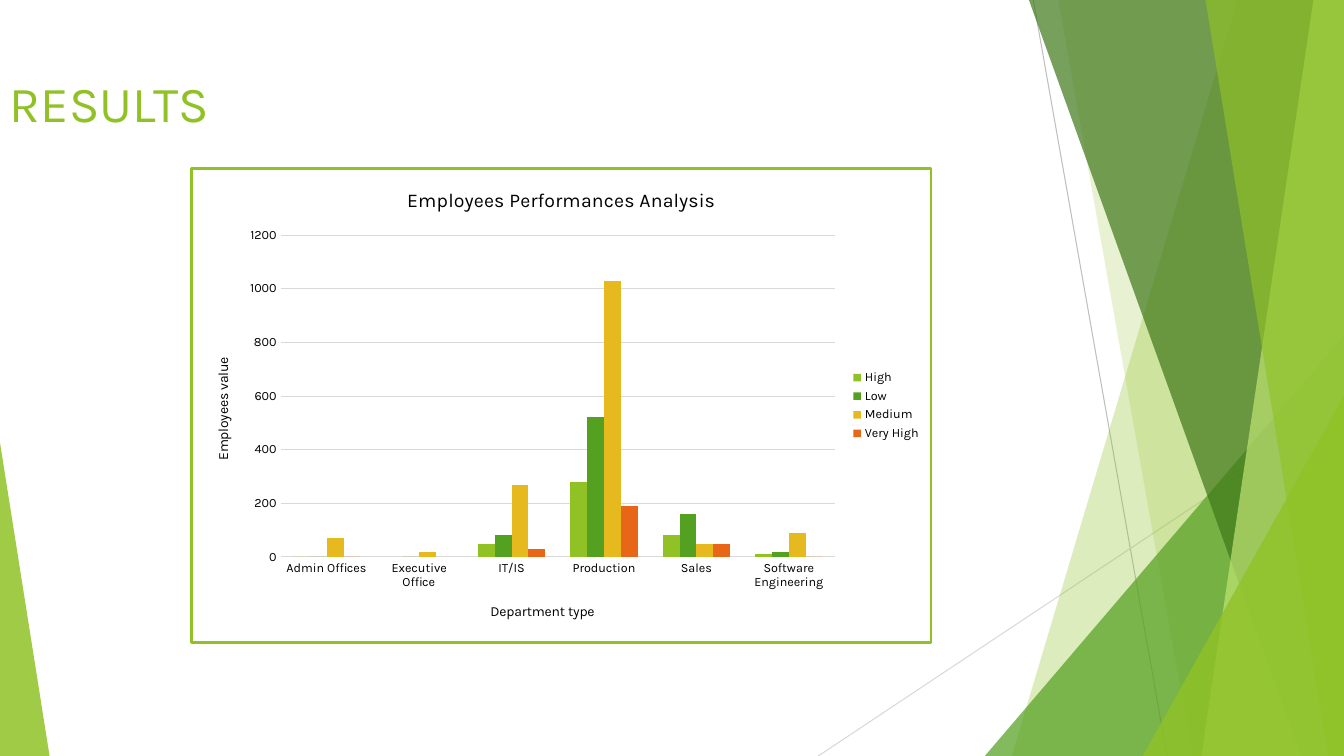
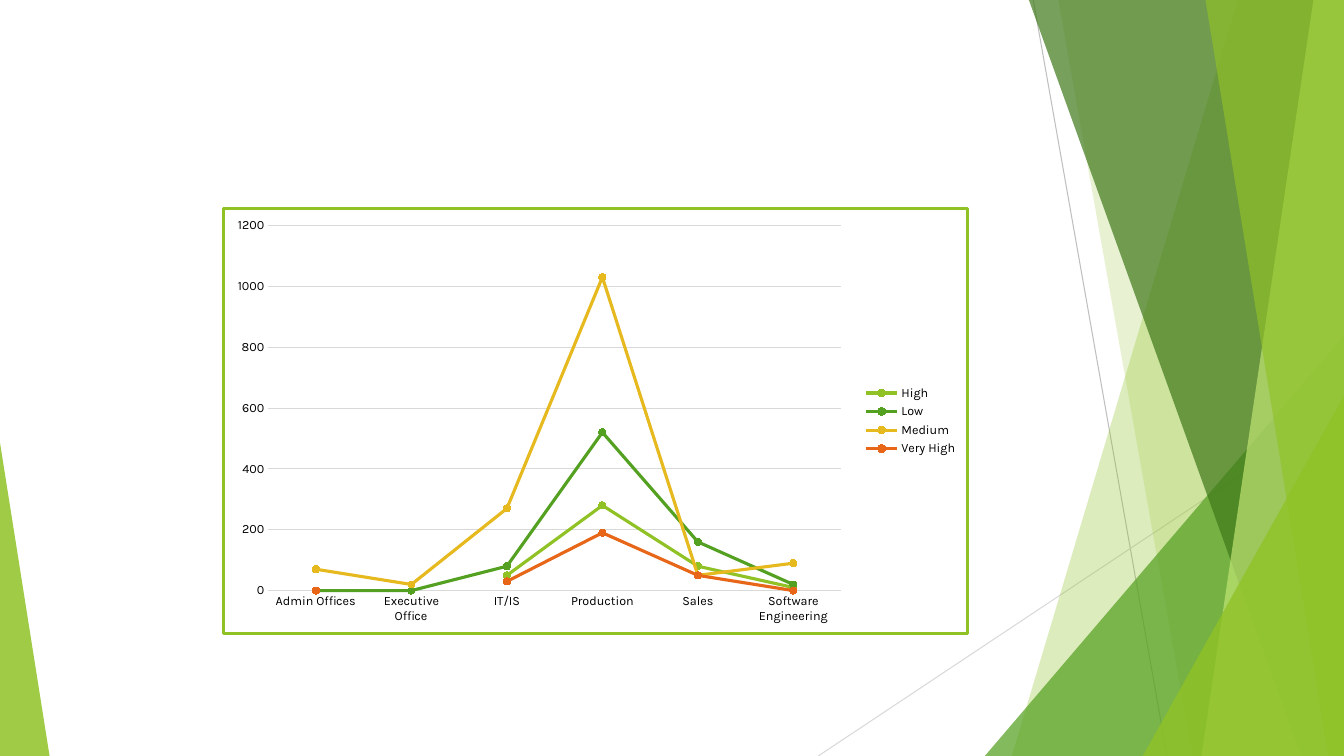
from lxml.etree import SubElement
from pptx import Presentation
from pptx.chart.data import CategoryChartData as ChartData
from pptx.dml.color import RGBColor
from pptx.enum.chart import XL_CHART_TYPE as ChartType
from pptx.enum.chart import XL_LEGEND_POSITION as LegendPosition
from pptx.enum.chart import XL_MARKER_STYLE as MarkerStyle
from pptx.enum.chart import XL_TICK_MARK as TickMark
from pptx.enum.shapes import MSO_CONNECTOR as Connector
from pptx.enum.shapes import MSO_SHAPE as Shape
from pptx.oxml import parse_xml
from pptx.oxml.ns import nsdecls, qn
from pptx.util import Cm, Pt

LIME = RGBColor(0x90, 0xC2, 0x26)
GREEN = RGBColor(0x54, 0xA0, 0x21)
FOREST = RGBColor(0x3F, 0x78, 0x19)
PALE = RGBColor(0xC0, 0xE4, 0x74)
GOLD = RGBColor(0xE6, 0xB9, 0x1E)
ORANGE = RGBColor(0xE7, 0x66, 0x18)
BLACK = RGBColor(0, 0, 0)
GRAY = RGBColor(0xBF, 0xBF, 0xBF)
LIGHT_GRAY = RGBColor(0xD9, 0xD9, 0xD9)

WIDTH, HEIGHT = 33.87, 19.05

DEPARTMENTS = ["Admin Offices", "Executive Office", "IT/IS", "Production",
               "Sales", "Software Engineering"]
PERFORMANCE = [
    ("High", LIME, [0, None, 50, 280, 80, 10]),
    ("Low", GREEN, [0, 0, 80, 520, 160, 20]),
    ("Medium", GOLD, [70, 20, 270, 1030, 50, 90]),
    ("Very High", ORANGE, [0, None, 30, 190, 50, 0]),
]


def assign(target, values):
    for name, value in values.items():
        setattr(target, name, value)


class Deck:
    font_name = "Karla"

    def __init__(self):
        self.presentation = Presentation()
        assign(self.presentation,
               {"slide_width": Cm(WIDTH), "slide_height": Cm(HEIGHT)})
        self.slide = None

    def add_slide(self):
        layout = self.presentation.slide_layouts[6]
        self.slide = self.presentation.slides.add_slide(layout)
        self.line((26.04, 0), (29.41, HEIGHT), GRAY)
        self.line((WIDTH, 10.24), (20.62, HEIGHT), LIGHT_GRAY)
        self.band(31.19, 25.5, LIME, 30)
        self.band(26.67, 30.05, LIME, 20)
        self.corner(24.82, 8.46, WIDTH - 24.82, 1, GREEN, 72)
        self.band(25.93, 32.79, FOREST, 70)
        self.band(33.1, 30.28, PALE, 70)
        self.band(30.38, 33.48, LIME, 65)
        self.corner(28.8, 9.98, WIDTH - 28.8, 1, LIME, 80)
        self.corner(0, 11.15, 1.25, 0, LIME, 85)

    def style_font(self, font, size, color=BLACK):
        assign(font, {"name": self.font_name, "size": Pt(size), "bold": False})
        font.color.rgb = color

    def paint(self, shape, color, opacity):
        shape.shadow.inherit = False
        shape.fill.solid()
        shape.fill.fore_color.rgb = color
        color_node = shape.element.spPr.find(".//" + qn("a:srgbClr"))
        SubElement(color_node, qn("a:alpha"), val=str(opacity * 1000))
        shape.line.fill.background()

    def line(self, start, end, color):
        connector = self.slide.shapes.add_connector(
            Connector.STRAIGHT, *map(Cm, start + end))
        connector.line.width = Pt(0.75)
        connector.line.color.rgb = color
        SubElement(connector.element.spPr, qn("a:effectLst"))

    def band(self, top_x, bottom_x, color, opacity):
        builder = self.slide.shapes.build_freeform(Cm(top_x), 0)
        corners = [(WIDTH, 0), (WIDTH, HEIGHT), (bottom_x, HEIGHT)]
        builder.add_line_segments([(Cm(x), Cm(y)) for x, y in corners])
        self.paint(builder.convert_to_shape(), color, opacity)

    def corner(self, left, top, width, apex, color, opacity):
        shape = self.slide.shapes.add_shape(
            Shape.ISOSCELES_TRIANGLE, Cm(left), Cm(top), Cm(width), Cm(HEIGHT - top))
        shape.adjustments[0] = apex
        self.paint(shape, color, opacity)

    def title(self, text):
        box = self.slide.shapes.add_textbox(0, Cm(1.7), Cm(23.88), Cm(3.66))
        box.text_frame.word_wrap = True
        paragraph = box.text_frame.paragraphs[0]
        run = paragraph.add_run()
        run.text = text
        self.style_font(run.font, 36, LIME)

    def chart(self, kind, place, plot_area):
        data = ChartData()
        data.categories = DEPARTMENTS
        for name, _, values in PERFORMANCE:
            data.add_series(name, values)
        chart = self.slide.shapes.add_chart(kind, *map(Cm, place), data).chart
        assign(chart, {"has_title": False, "has_legend": True})
        self.style_font(chart.font, 10)
        assign(chart.legend, {"position": LegendPosition.RIGHT,
                              "include_in_layout": False})
        self.style_font(chart.legend.font, 9)
        chart.plots[0].vary_by_categories = False
        for axis in (chart.category_axis, chart.value_axis):
            assign(axis, {"major_tick_mark": TickMark.NONE,
                          "minor_tick_mark": TickMark.NONE})
            self.style_font(axis.tick_labels.font, 9)
            axis.format.line.fill.background()
        assign(chart.value_axis, {"minimum_scale": 0, "maximum_scale": 1200,
                                  "major_unit": 200, "has_major_gridlines": True})
        self.rule(chart.value_axis.major_gridlines.format.line)
        self.frame(chart)
        self.place_plot(chart, plot_area)
        return chart

    def rule(self, line):
        line.width = Pt(0.75)
        line.color.rgb = LIGHT_GRAY

    def frame(self, chart):
        chart.element.find(qn("c:chart")).addnext(parse_xml(
            f'<c:spPr {nsdecls("c", "a")}>'
            '<a:solidFill><a:srgbClr val="FFFFFF"/></a:solidFill>'
            f'<a:ln w="{Pt(2)}"><a:solidFill><a:srgbClr val="{LIME}"/></a:solidFill>'
            '</a:ln></c:spPr>'))

    def place_plot(self, chart, plot_area):
        area = chart.element.find(".//" + qn("c:plotArea"))
        for layout in area.findall(qn("c:layout")):
            area.remove(layout)
        sizes = "".join(f'<c:{name} val="{value}"/>'
                        for name, value in zip("xywh", plot_area))
        area.insert(0, parse_xml(
            f'<c:layout {nsdecls("c")}><c:manualLayout><c:layoutTarget val="inner"/>'
            '<c:xMode val="edge"/><c:yMode val="edge"/>'
            f'{sizes}</c:manualLayout></c:layout>'))

    def chart_text(self, title, text, size):
        paragraph = title.text_frame.paragraphs[0]
        run = paragraph.add_run()
        run.text = text
        self.style_font(run.font, size)

    def column_chart(self, place, plot_area, title, category_title, value_title):
        chart = self.chart(ChartType.COLUMN_CLUSTERED, place, plot_area)
        assign(chart.plots[0], {"gap_width": 150, "overlap": 0})
        for series, (_, color, _) in zip(chart.plots[0].series, PERFORMANCE):
            series.format.fill.solid()
            series.format.fill.fore_color.rgb = color
        self.chart_text(chart.chart_title, title, 14)
        chart.chart_title.include_in_layout = False
        self.chart_text(chart.category_axis.axis_title, category_title, 10)
        self.chart_text(chart.value_axis.axis_title, value_title, 10)
        body = chart.value_axis.axis_title.element.find(".//" + qn("a:bodyPr"))
        body.set("rot", "-5400000")
        body.set("vert", "horz")

    def line_chart(self, place, plot_area):
        chart = self.chart(ChartType.LINE_MARKERS, place, plot_area)
        self.rule(chart.category_axis.format.line)
        for series, (_, color, _) in zip(chart.plots[0].series, PERFORMANCE):
            series.smooth = False
            series.format.line.width = Pt(2.25)
            series.format.line.color.rgb = color
            assign(series.marker, {"style": MarkerStyle.CIRCLE, "size": 5})
            series.marker.format.fill.solid()
            series.marker.format.fill.fore_color.rgb = color
            series.marker.format.line.color.rgb = color


def main():
    deck = Deck()
    deck.add_slide()
    deck.title("RESULTS")
    deck.column_chart((4.8, 4.22, 18.7, 12), (0.12, 0.14, 0.75, 0.68),
                      "Employees Performances Analysis",
                      "Department type", "Employees value")
    deck.add_slide()
    deck.line_chart((5.6, 5.22, 18.82, 10.77), (0.06, 0.04, 0.77, 0.86))
    deck.presentation.save("out.pptx")


if __name__ == "__main__":
    main()
